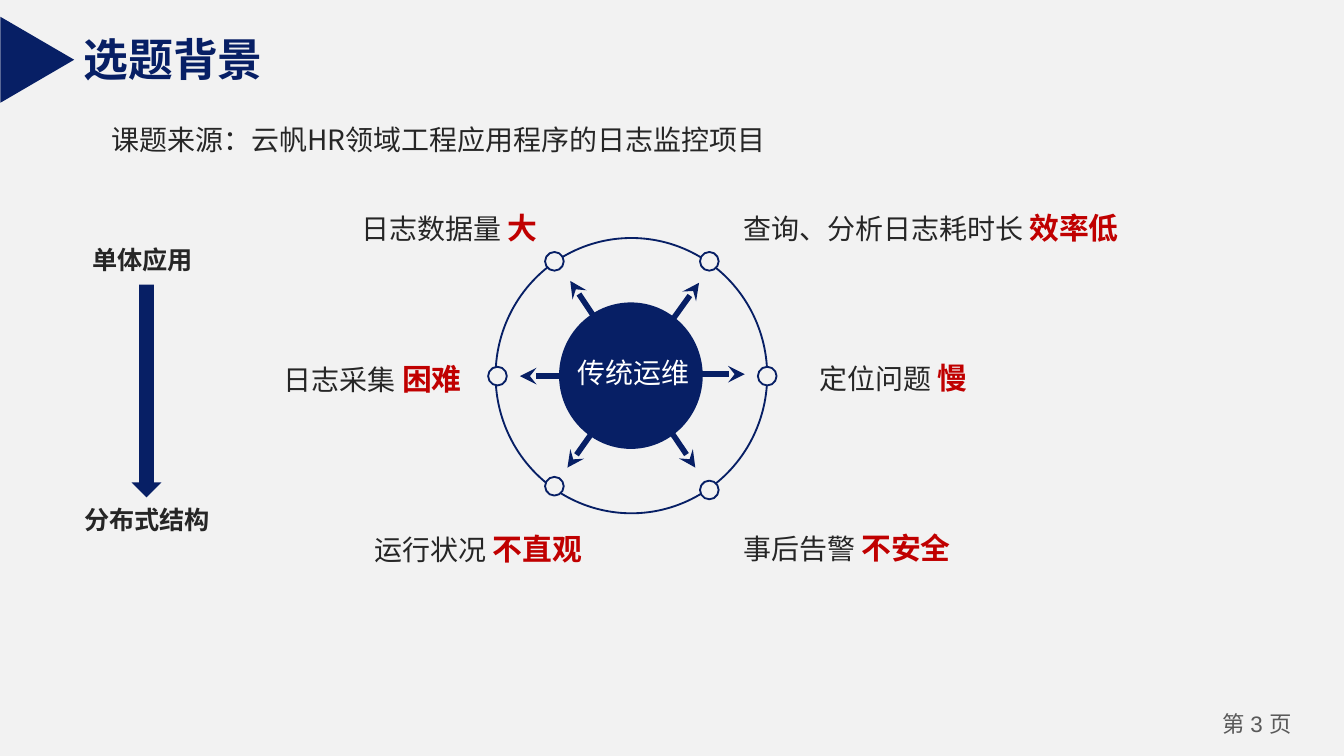
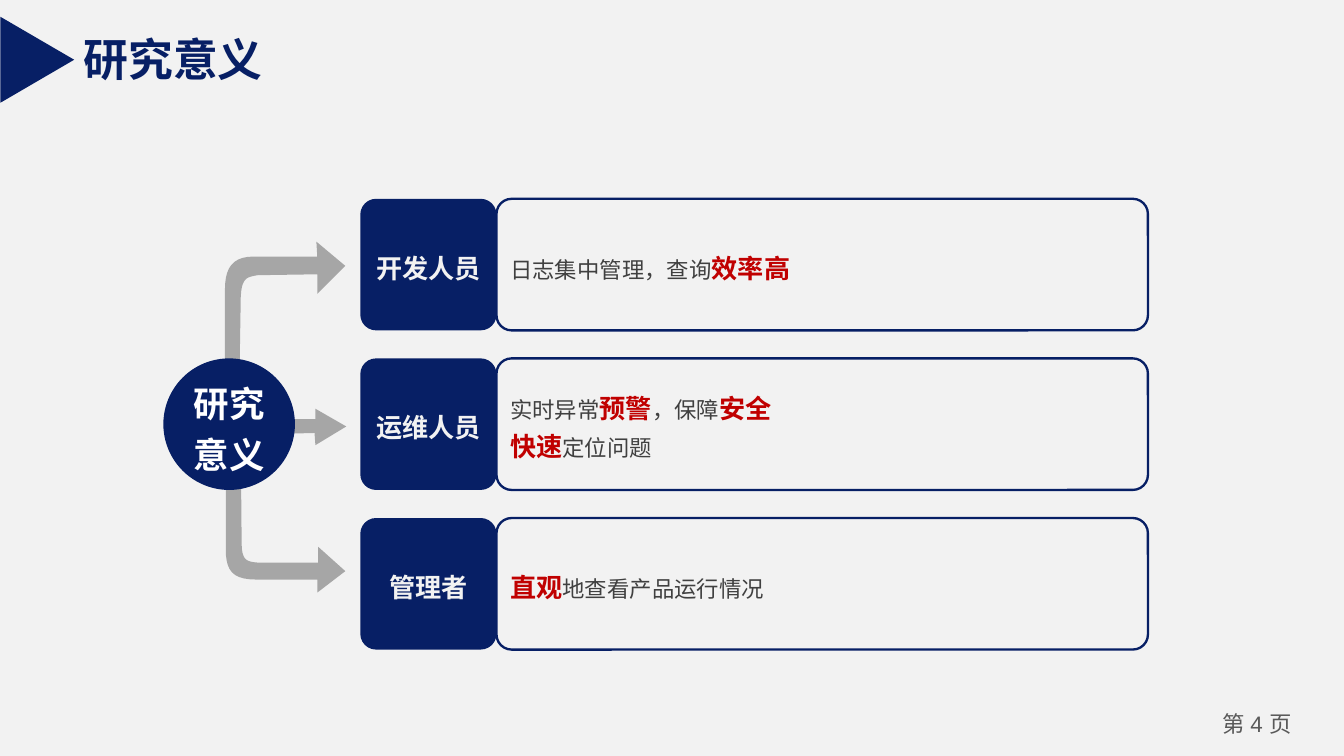
import pptx
import pptx.dml.color
import pptx.enum.shapes
import pptx.enum.text
import pptx.oxml.ns
import pptx.util
from lxml import etree

Pt = pptx.util.Pt
qn = pptx.oxml.ns.qn
SHAPE = pptx.enum.shapes.MSO_SHAPE
ALIGN = pptx.enum.text.PP_ALIGN
ANCHOR = pptx.enum.text.MSO_ANCHOR
RGB = pptx.dml.color.RGBColor.from_string

NAVY, PAPER, RED, GREY = "071F65", "F2F2F2", "C00000", "A6A6A6"
SANS, ARIAL = "Noto Sans CJK SC", "Arial"
THEME = {  # style: size, bold, colour, Latin font
    "title": (24, True, NAVY, SANS),
    "footer": (12, False, "595959", SANS),
    "number": (12, False, "595959", ARIAL),
    "body": (15, False, "262626", SANS),
    "stress": (16, True, RED, SANS),
    "core": (15, False, "FFFFFF", SANS),
    "stage": (13.5, True, "262626", ARIAL),
    "card": (12, False, "404040", SANS),
    "card stress": (14, True, RED, SANS),
    "role": (14, True, PAPER, SANS),
    "hub": (19, True, "FFFFFF", ARIAL),
}
PLAIN = {"word_wrap": True, "vertical_anchor": ANCHOR.TOP}
TIGHT = {"word_wrap": True, "vertical_anchor": ANCHOR.MIDDLE,
         "margin_left": Pt(5), "margin_right": Pt(5),
         "margin_top": Pt(2.5), "margin_bottom": Pt(2.5)}


def write(frame, lines, frame_format=PLAIN, **para_format):
    """Fill a text frame; each line is a list of (text, style) pairs."""
    for name, value in frame_format.items():
        setattr(frame, name, value)
    for index, line in enumerate(lines):
        para = frame.paragraphs[0] if index == 0 else frame.add_paragraph()
        for name, value in para_format.items():
            setattr(para, name, value)
        for text, style in line:
            size, bold, colour, font = THEME[style]
            span = para.add_run()
            span.text = text
            for name, value in {"size": Pt(size), "bold": bold, "name": font}.items():
                setattr(span.font, name, value)
            span.font.color.rgb = RGB(colour)
            east_asian = etree.Element(qn("a:ea"), typeface=SANS)
            span.font._element.find(qn("a:latin")).addnext(east_asian)


def draw(page, kind, box, fill=None, line=None, weight=1):
    """Add a flat preset shape; box is left, top, width, height in points."""
    shape = page.shapes.add_shape(kind, *map(Pt, box))
    shape.shadow.inherit = False
    if fill:
        shape.fill.solid()
        shape.fill.fore_color.rgb = RGB(fill)
    else:
        shape.fill.background()
    if line:
        shape.line.color.rgb = RGB(line)
        shape.line.width = Pt(weight)
    else:
        shape.line.fill.background()
    return shape


deck = pptx.Presentation()
deck.slide_width, deck.slide_height = Pt(720), Pt(405)
backdrop = deck.slide_master.background.fill
backdrop.solid()
backdrop.fore_color.rgb = RGB(PAPER)

# Shared title, marker and page number
pages = []
for number, heading in [("3", "选题背景"), ("4", "研究意义")]:
    page = deck.slides.add_slide(deck.slide_layouts[5])
    title = page.shapes.title
    title.left, title.top, title.width, title.height = map(Pt, (37.5, 13.5, 112, 36))
    title.text_frame.auto_size = pptx.enum.text.MSO_AUTO_SIZE.NONE
    write(title.text_frame, [[(heading, "title")]],
          {"word_wrap": True, "vertical_anchor": ANCHOR.MIDDLE}, alignment=ALIGN.LEFT)
    marker = draw(page, SHAPE.ISOSCELES_TRIANGLE, (-3, 12.25, 46, 39.5), NAVY)
    marker.rotation = 90
    footer = page.shapes.add_textbox(*map(Pt, (641, 377, 65, 21.5)))
    write(footer.text_frame,
          [[("第 ", "footer"), (number + " ", "number"), ("页", "footer")]],
          TIGHT, alignment=ALIGN.CENTER)
    pages.append(page)
background, significance = pages

# Background: six problems around traditional operations
hub_x, hub_y, dot = 339, 201, 10
draw(background, SHAPE.OVAL, (265.5, 127.5, 145.5, 147.5), line=NAVY)
spokes = [  # dot centre, arrow tip, label box (left, top, width), label
    ((380, 140), (374.5, 151.5), (391, 108.5, 219), "查询、分析日志耗时长 ", "效率低"),
    ((297, 140), (305.5, 150.5), (186.5, 109, 111), "日志数据量 ", "大"),
    ((266.5, 201.5), (278.5, 201.5), (145, 189.5, 112.5), "日志采集 ", "困难"),
    ((411, 201.5), (399, 200.5), (432, 189, 96), "定位问题 ", "慢"),
    ((380, 262.5), (372.5, 250.5), (391, 280, 128), "事后告警 ", "不安全"),
    ((297, 260.5), (304, 250.5), (193.5, 280.5, 128), "运行状况 ", "不直观"),
]
for (dot_x, dot_y), tip, (left, top, width), text, stress in spokes:
    draw(background, SHAPE.OVAL, (dot_x - dot / 2, dot_y - dot / 2, dot, dot), PAPER, NAVY)
    start_y = tip[1] if abs(tip[1] - hub_y) < 1 else hub_y
    arrow = background.shapes.add_connector(
        pptx.enum.shapes.MSO_CONNECTOR.STRAIGHT, *map(Pt, (hub_x, start_y, *tip)))
    arrow.line.color.rgb = RGB(NAVY)
    arrow.line.width = Pt(3)
    etree.SubElement(arrow.line._get_or_add_ln(), qn("a:tailEnd"), type="stealth")
    etree.SubElement(arrow._element.spPr, qn("a:effectLst"))
    label = background.shapes.add_textbox(*map(Pt, (left, top, width, 26.5)))
    write(label.text_frame, [[(text, "body"), (stress, "stress")]])
draw(background, SHAPE.OVAL, (299.5, 162, 77, 78.5), NAVY)

captions = [
    ((52.5, 62, 369.5, 25), "课题来源：云帆HR领域工程应用程序的日志监控项目", "body"),
    ((302.5, 187, 80, 25), "传统运维", "core"),
    ((42.5, 127.5, 95, 24), "单体应用", "stage"),
    ((38, 266.5, 95, 24), "分布式结构", "stage"),
]
for box, text, style in captions:
    caption = background.shapes.add_textbox(*map(Pt, box))
    write(caption.text_frame, [[(text, style)]])
draw(background, SHAPE.DOWN_ARROW, (70.5, 152.5, 16, 114), NAVY)

# Significance: arrows as outlines, a pair is a corner and six numbers a Bézier curve
outlines = [
    [(129, 238.5), (129.5, 291.5), (129.5, 301, 133, 301, 139, 301.5),
     (170.5, 301.5), (170.5, 293), (185, 306), (170, 317.5), (170, 310.5),
     (137, 310.5), (124.5, 310.5, 121, 305.5, 121, 294.5), (121, 237),
     (121.5, 227.5, 126.5, 228, 129, 238.5)],
    [(109, 233.5), (168.5, 232), (169, 238.5), (185.5, 228.5), (169, 219),
     (169, 224.5), (109, 224.5)],
    [(128, 221), (129, 159), (129.5, 148.5, 132.5, 148.5, 138, 147.5),
     (170, 147), (170, 157.5), (185, 142.5), (169.5, 129.5), (170, 137.5),
     (136, 137.5), (124.5, 137.5, 120.5, 143.5, 120.5, 155.5), (120.5, 222.5),
     (121.5, 233.5, 126.5, 232.5, 128, 221)],
]
for outline in outlines:
    points = []
    for step in outline:
        if len(step) == 2:
            points.append(step)
            continue
        controls = [points[-1], step[:2], step[2:4], step[4:]]
        for t in [part / 10 for part in range(1, 11)]:
            weights = ((1 - t) ** 3, 3 * t * (1 - t) ** 2, 3 * t * t * (1 - t), t ** 3)
            points.append(tuple(sum(w * control[axis] for w, control in zip(weights, controls))
                                for axis in (0, 1)))
    corners = [(Pt(x), Pt(y)) for x, y in points]
    builder = significance.shapes.build_freeform(*corners[0], scale=1.0)
    builder.add_line_segments(corners[1:], close=True)
    bent_arrow = builder.convert_to_shape()
    bent_arrow.shadow.inherit = False
    bent_arrow.fill.solid()
    bent_arrow.fill.fore_color.rgb = RGB(GREY)
    bent_arrow.line.fill.background()

cards = [
    ("开发人员", [[("日志集中管理，查询", "card"), ("效率高", "card stress")]]),
    ("运维人员", [[("实时异常", "card"), ("预警", "card stress"),
               ("，保障", "card"), ("安全", "card stress")],
              [("快速", "card stress"), ("定位问题", "card")]]),
    ("管理者", [[("直观", "card stress"), ("地查看产品运行情况", "card")]]),
]
for index, (role, benefit) in enumerate(cards):
    top = 106.5 + 85.5 * index
    panel = draw(significance, SHAPE.ROUNDED_RECTANGLE, (266, top, 349, 70.5), None, NAVY, 1.25)
    panel.adjustments[0] = 0.115
    write(panel.text_frame, benefit, TIGHT, alignment=ALIGN.LEFT, line_spacing=1.2)
    tab = draw(significance, SHAPE.ROUNDED_RECTANGLE, (193, top, 73, 70.5), NAVY)
    tab.adjustments[0] = 0.12
    write(tab.text_frame, [[(role, "role")]], TIGHT, alignment=ALIGN.CENTER, line_spacing=1.2)

hub = draw(significance, SHAPE.OVAL, (87.5, 192, 70.5, 70.5), NAVY)
write(hub.text_frame, [[("研究意义", "hub")]], TIGHT, alignment=ALIGN.CENTER, line_spacing=1.2)

deck.save("out.pptx")
